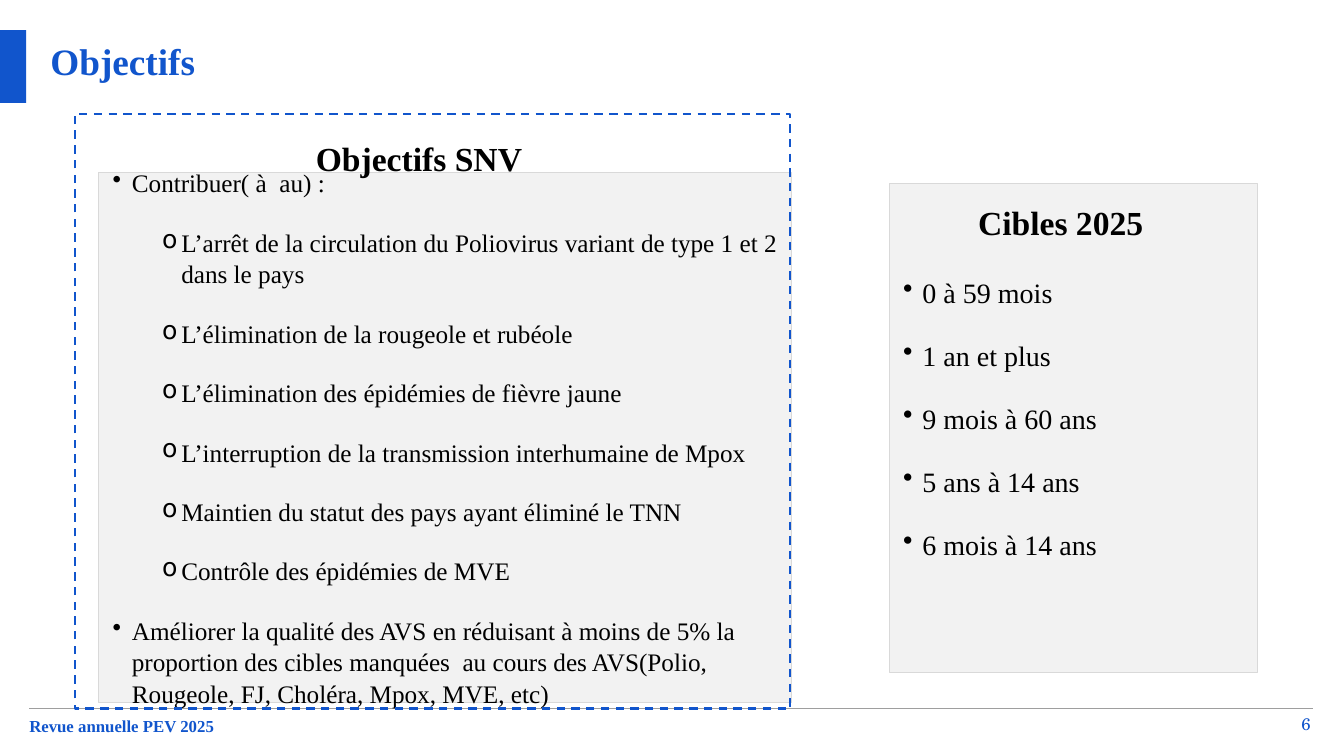
import pptx
import pptx.dml.color
import pptx.enum.dml
import pptx.enum.shapes
import pptx.enum.text
import pptx.oxml.ns
import pptx.util
from lxml import etree

Inches = pptx.util.Inches
Pt = pptx.util.Pt
ANCHOR = pptx.enum.text.MSO_ANCHOR
ALIGN = pptx.enum.text.PP_ALIGN

COLORS = {"blue": "1155CC", "grey": "9E9E9E", "panel": "F2F2F2",
          "border": "D9D9D9", "black": "000000"}
SERIF = "Times New Roman"
# Bullet character and left margin of each list level
LEVELS = [("•", 0.23), ("o", 0.72)]
HANGING = 0.19

OBJECTIVES = [
    (0, "Contribuer( à  au) :"),
    (1, "L’arrêt de la circulation du Poliovirus variant de type 1 et 2 dans le pays"),
    (1, "L’élimination de la rougeole et rubéole"),
    (1, "L’élimination des épidémies de fièvre jaune"),
    (1, "L’interruption de la transmission interhumaine de Mpox"),
    (1, "Maintien du statut des pays ayant éliminé le TNN"),
    (1, "Contrôle des épidémies de MVE"),
    (0, "Améliorer la qualité des AVS en réduisant à moins de 5% la proportion des "
        "cibles manquées  au cours des AVS(Polio, Rougeole, FJ, Choléra, Mpox, MVE, etc)"),
]
TARGETS = [(0, text) for text in ("0 à 59 mois", "1 an et plus", "9 mois à 60 ans",
                                  "5 ans à 14 ans", "6 mois à 14 ans")]


def rgb(name):
    return pptx.dml.color.RGBColor.from_string(COLORS[name])


def set_format(obj, values):
    for name, value in values.items():
        setattr(obj, name, value)


def set_font(font, size, color, bold=False, name=SERIF):
    set_format(font, {"name": name, "size": Pt(size), "bold": bold})
    font.color.rgb = rgb(color)


def set_frame(tf, anchor, inset, top=None):
    set_format(tf, {
        "word_wrap": True, "vertical_anchor": anchor,
        "margin_left": Inches(inset), "margin_right": Inches(inset),
        "margin_top": Inches(inset if top is None else top),
        "margin_bottom": Inches(inset)})


def add_rect(s, box, fill=None, line=None, width=0.75, dash=None):
    sp = s.shapes.add_shape(pptx.enum.shapes.MSO_SHAPE.RECTANGLE, *map(Inches, box))
    sp.shadow.inherit = False
    if fill:
        sp.fill.solid()
        sp.fill.fore_color.rgb = rgb(fill)
    else:
        sp.fill.background()
    if line:
        sp.line.color.rgb = rgb(line)
        set_format(sp.line, {"width": Pt(width), "dash_style": dash})
    else:
        sp.line.fill.background()
    return sp


def add_label(s, box, text, size, color, bold=True, name=SERIF,
              align=ALIGN.LEFT, anchor=ANCHOR.TOP, inset=0):
    tf = s.shapes.add_textbox(*map(Inches, box)).text_frame
    set_frame(tf, anchor, inset)
    p = tf.paragraphs[0]
    p.alignment = align
    r = p.add_run()
    r.text = text
    set_font(r.font, size, color, bold, name)


def add_list_panel(s, box, items, size, anchor, top=None):
    tf = add_rect(s, box, "panel", "border").text_frame
    set_frame(tf, anchor, 0.1, top)
    for i, (level, text) in enumerate(items):
        p = tf.paragraphs[0] if i == 0 else tf.add_paragraph()
        char, margin = LEVELS[level]
        pPr = p._p.get_or_add_pPr()
        pPr.set("marL", str(Inches(margin)))
        pPr.set("indent", str(-Inches(HANGING)))
        etree.SubElement(pPr, pptx.oxml.ns.qn("a:buChar")).set("char", char)
        set_format(p, {"level": level, "alignment": ALIGN.LEFT, "line_spacing": 1.04,
                       "space_before": Pt(10 if i else 0), "space_after": Pt(10)})
        r = p.add_run()
        r.text = text
        set_font(r.font, size, "black")


def add_rule(s, x1, x2, y):
    sp = s.shapes.add_connector(pptx.enum.shapes.MSO_CONNECTOR.STRAIGHT,
                                Inches(x1), Inches(y), Inches(x2), Inches(y))
    sp.line.color.rgb = rgb("grey")
    sp.line.width = Pt(0.75)
    etree.SubElement(sp._element.spPr, pptx.oxml.ns.qn("a:effectLst"))


def main():
    prs = pptx.Presentation()
    set_format(prs, {"slide_width": Inches(13.33), "slide_height": Inches(7.5)})
    s = prs.slides.add_slide(prs.slide_layouts[6])
    heading = {"align": ALIGN.CENTER, "anchor": ANCHOR.MIDDLE, "inset": 0.1}

    # Title and footer
    add_label(s, (0.5, 0.38, 12.33, 0.8), "Objectifs", 26.6, "blue")
    add_rect(s, (0, 0.3, 0.26, 0.72), "blue")
    add_rule(s, 0.29, 13.02, 7.03)
    add_label(s, (0.29, 7.1, 12.48, 0.2), "Revue annuelle PEV 2025", 12, "blue")
    add_label(s, (12.75, 7.08, 0.25, 0.2), "6", 12, "blue", bold=False,
              name="TeX Gyre Schola", align=ALIGN.RIGHT, anchor=ANCHOR.MIDDLE)

    # Objectives
    add_list_panel(s, (0.98, 1.71, 6.87, 5.26), OBJECTIVES, 18, ANCHOR.MIDDLE)
    add_rect(s, (0.74, 1.13, 7.1, 5.9), line="blue", width=1.5,
             dash=pptx.enum.dml.MSO_LINE.DASH)
    add_label(s, (1.16, 1.32, 5.99, 0.5), "Objectifs SNV", 24, "black", **heading)

    # Target groups
    add_list_panel(s, (8.82, 1.82, 3.65, 4.85), TARGETS, 20, ANCHOR.TOP, top=0.9)
    add_label(s, (8.82, 2.03, 3.4, 0.34), "Cibles 2025", 24, "black", **heading)

    prs.save("out.pptx")


if __name__ == "__main__":
    main()
